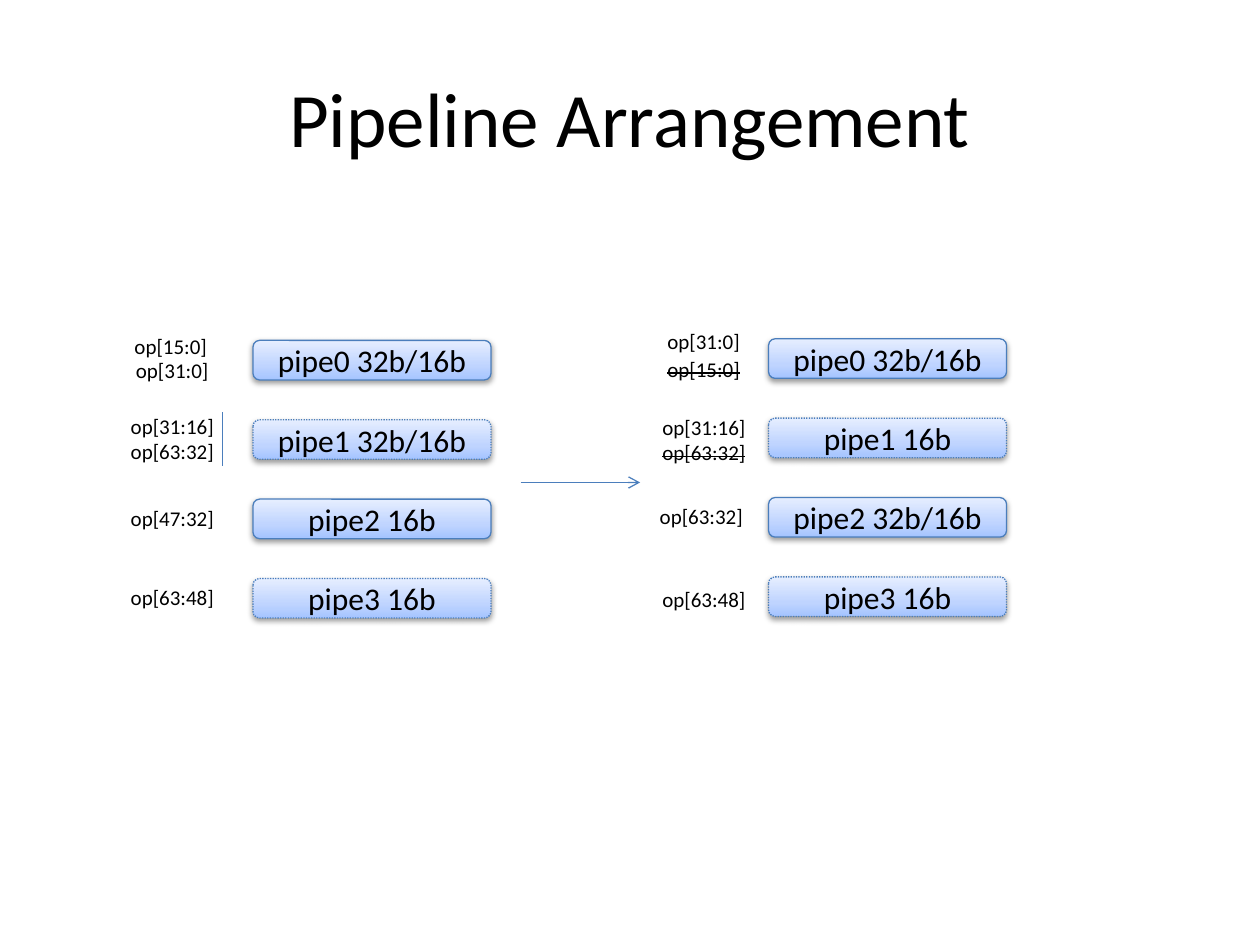
from copy import deepcopy

from lxml import etree
from pptx import Presentation
from pptx.dml.color import RGBColor
from pptx.enum.dml import MSO_LINE
from pptx.enum.shapes import MSO_CONNECTOR, MSO_SHAPE
from pptx.enum.text import MSO_ANCHOR, MSO_AUTO_SIZE, PP_ALIGN
from pptx.oxml import parse_xml
from pptx.oxml.ns import nsdecls, qn
from pptx.util import Pt

ROUNDED = MSO_SHAPE.ROUNDED_RECTANGLE
STRAIGHT = MSO_CONNECTOR.STRAIGHT
DOTTED = MSO_LINE.ROUND_DOT
MIDDLE = MSO_ANCHOR.MIDDLE
LEFT, CENTER = PP_ALIGN.LEFT, PP_ALIGN.CENTER
FIT_SHAPE = MSO_AUTO_SIZE.SHAPE_TO_FIT_TEXT

BLACK = RGBColor(0x00, 0x00, 0x00)
BLUE = RGBColor(0x4B, 0x7E, 0xBC)
GRADIENT = [(0, RGBColor(0xA4, 0xC4, 0xFF)),
            (0.35, RGBColor(0xBF, 0xD4, 0xFF)),
            (1, RGBColor(0xE6, 0xEE, 0xFF))]
SHADOW = (f'<a:outerShdw {nsdecls("a")} blurRad="40000" dist="20000" dir="5400000" '
          'rotWithShape="0"><a:srgbClr val="000000"><a:alpha val="38000"/>'
          '</a:srgbClr></a:outerShdw>')

PIPE_W, PIPE_H, PIPE_PITCH = 136, 22.6, 45.36
LABEL_H = {1: 21.8, 2: 36.3}


def write(p, text, size=18, align=LEFT, strike=False):
    p.alignment = align
    r = p.add_run()
    r.text = text
    r.font.name = "Calibri"
    r.font.size = Pt(size)
    r.font.color.rgb = BLACK
    if strike:
        r._r.get_or_add_rPr().set("strike", "sngStrike")


class Deck:
    def __init__(self):
        self.prs = Presentation()
        self.prs.slide_width, self.prs.slide_height = Pt(720), Pt(540)
        self.s = self.prs.slides.add_slide(self.prs.slide_layouts[5])

    def title(self, text):
        sp = self.s.shapes.title
        sp.left, sp.top, sp.width, sp.height = Pt(36), Pt(21.6), Pt(648), Pt(90)
        sp.text_frame.vertical_anchor = MIDDLE
        write(sp.text_frame.paragraphs[0], text, size=44, align=CENTER)

    def pipe(self, x, y, text, dotted=False):
        sp = self.s.shapes.add_shape(ROUNDED, Pt(x), Pt(y), Pt(PIPE_W), Pt(PIPE_H))
        sp.fill.gradient()
        sp.fill.gradient_angle = 90
        stops = sp._element.spPr.find(".//" + qn("a:gsLst"))
        stops.append(deepcopy(stops[0]))
        for stop, (position, color) in zip(sp.fill.gradient_stops, GRADIENT):
            stop.position = position
            stop.color.rgb = color
        sp.line.color.rgb = BLUE
        sp.line.width = Pt(0.75)
        if dotted:
            sp.line.dash_style = DOTTED
        sp.shadow.inherit = False
        sp._element.spPr.find(qn("a:effectLst")).append(parse_xml(SHADOW))
        tf = sp.text_frame
        tf.vertical_anchor = MIDDLE
        write(tf.paragraphs[0], text, align=CENTER)

    def label(self, x, y, w, *lines, struck=()):
        """Add an operand label; lines listed in struck are crossed out."""
        sp = self.s.shapes.add_textbox(Pt(x), Pt(y), Pt(w), Pt(LABEL_H[len(lines)]))
        tf = sp.text_frame
        tf.word_wrap = False
        tf.auto_size = FIT_SHAPE
        for i, line in enumerate(lines):
            p = tf.add_paragraph() if i else tf.paragraphs[0]
            write(p, line, size=12, strike=line in struck)

    def line(self, x1, y1, x2, y2, arrow=False):
        c = self.s.shapes.add_connector(STRAIGHT, Pt(x1), Pt(y1), Pt(x2), Pt(y2))
        c.line.color.rgb = BLUE
        c.line.width = Pt(0.75)
        if arrow:
            etree.SubElement(c.line._get_or_add_ln(), qn("a:tailEnd"), type="arrow")
        etree.SubElement(c._element.spPr, qn("a:effectLst"))


def main():
    deck = Deck()
    deck.title("Pipeline Arrangement")

    columns = [
        (439.2, 193.6, ["pipe0 32b/16b", "pipe1 16b", "pipe2 32b/16b", "pipe3 16b"]),
        (144.6, 194.5, ["pipe0 32b/16b", "pipe1 32b/16b", "pipe2 16b", "pipe3 16b"]),
    ]
    for x, top, names in columns:
        for i, name in enumerate(names):
            deck.pipe(x, top + i * PIPE_PITCH, name, dotted=i % 2 == 1)

    deck.line(297.5, 275.7, 365.8, 275.7, arrow=True)

    short, wide = 56, 62.4
    deck.label(70.6, 200.9, short, "op[31:0]")
    deck.label(69.8, 186.8, short, "op[15:0]")
    deck.label(67.6, 232.6, wide, "op[31:16]", "op[63:32]")
    deck.label(67.6, 285.3, wide, "op[47:32]")
    deck.label(67.6, 330.6, wide, "op[63:48]")

    deck.label(374.3, 184.2, short, "op[31:0]")
    deck.label(374.3, 200.2, short, "op[15:0]", struck=["op[15:0]"])
    deck.label(371.4, 233.5, wide, "op[31:16]", "op[63:32]", struck=["op[63:32]"])
    deck.label(369.9, 284.4, wide, "op[63:32]")
    deck.label(371.4, 331.5, wide, "op[63:48]")

    deck.line(127.3, 235.7, 127.3, 266.2)
    deck.prs.save("out.pptx")


if __name__ == "__main__":
    main()
